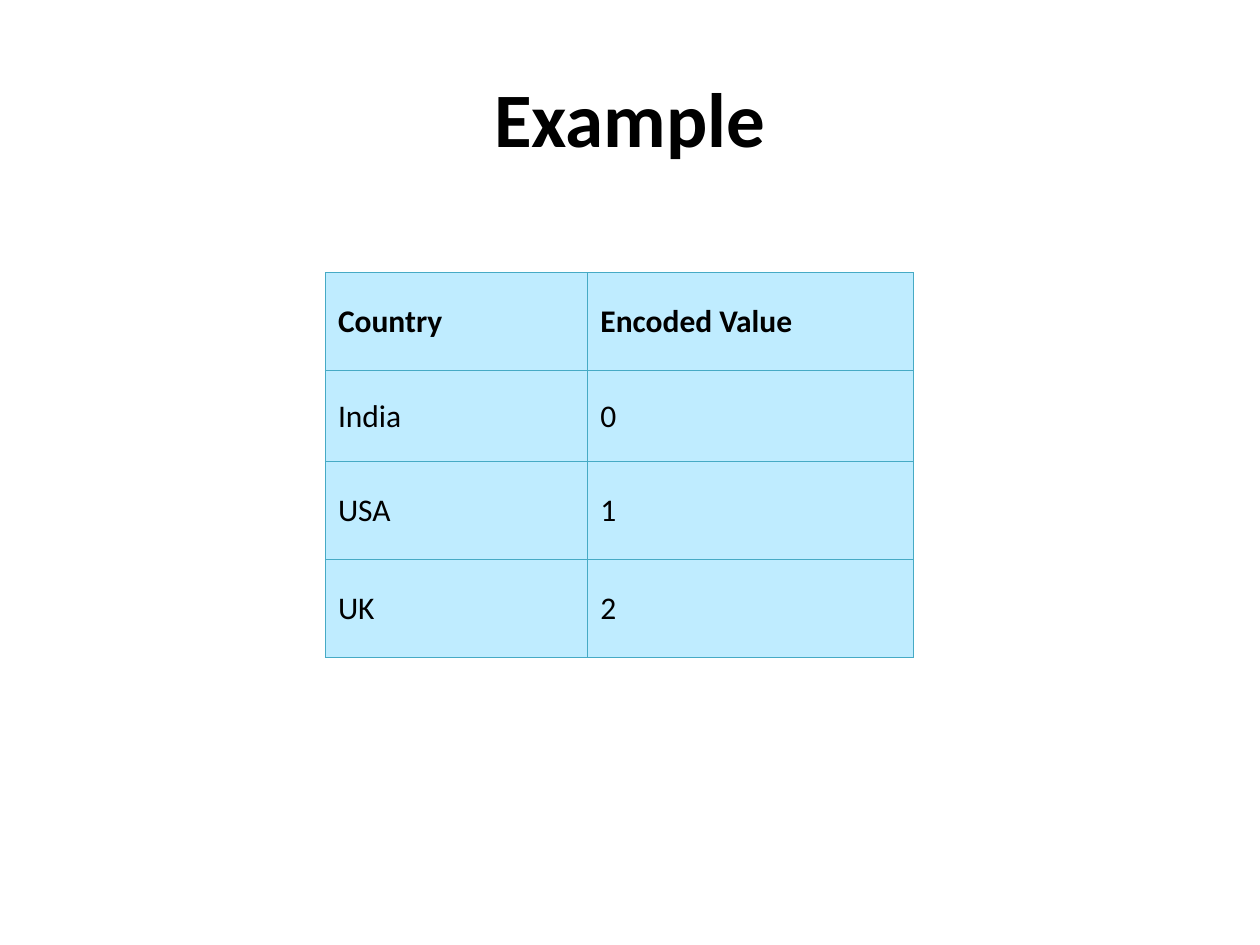
"""Build a slide with a table of countries and their encoded values."""
import lxml.etree
import pptx
import pptx.dml.color
import pptx.enum.text
import pptx.oxml.ns
import pptx.util

Cm = pptx.util.Cm
Pt = pptx.util.Pt
qn = pptx.oxml.ns.qn


def color(code):
    return pptx.dml.color.RGBColor.from_string(code)


class Deck:
    font = "Calibri"
    ink = "000000"
    fill = "BFECFF"
    edge = "46AAC5"

    def __init__(self, wide, high):
        self.show = pptx.Presentation()
        self.show.slide_width = Cm(wide)
        self.show.slide_height = Cm(high)
        self.slide = self.show.slides.add_slide(self.show.slide_layouts[6])

    def label(self, frame, text, size, bold):
        frame.text = text
        para = frame.paragraphs[0]
        para.font.name = self.font
        para.font.size = Pt(size)
        para.font.bold = bold
        para.font.color.rgb = color(self.ink)
        return para

    def title(self, text, left, top, wide, high):
        box = self.slide.shapes.add_textbox(Cm(left), Cm(top), Cm(wide), Cm(high))
        frame = box.text_frame
        frame.word_wrap = True
        frame.vertical_anchor = pptx.enum.text.MSO_ANCHOR.MIDDLE
        para = self.label(frame, text, 44, True)
        para.alignment = pptx.enum.text.PP_ALIGN.CENTER

    def border(self, cell):
        props = cell._tc.get_or_add_tcPr()
        for side in ("a:lnL", "a:lnR", "a:lnT", "a:lnB"):
            line = lxml.etree.SubElement(props, qn(side), w=str(Pt(0.75)))
            solid = lxml.etree.SubElement(line, qn("a:solidFill"))
            lxml.etree.SubElement(solid, qn("a:srgbClr"), val=self.edge)

    def table(self, data, left, top, cols, rows):
        grid = self.slide.shapes.add_table(
            len(rows), len(cols), Cm(left), Cm(top), Cm(sum(cols)), Cm(sum(rows))
        ).table
        for col, wide in zip(grid.columns, cols):
            col.width = Cm(wide)
        for row, high in zip(grid.rows, rows):
            row.height = Cm(high)
        for i, line in enumerate(data):
            for j, text in enumerate(line):
                cell = grid.cell(i, j)
                cell.vertical_anchor = pptx.enum.text.MSO_ANCHOR.MIDDLE
                self.border(cell)
                cell.fill.solid()
                cell.fill.fore_color.rgb = color(self.fill)
                self.label(cell.text_frame, text, 18, i == 0)


def main():
    deck = Deck(25.4, 19.05)
    deck.title("Example", 1.27, 0.76, 22.86, 3.18)
    data = [("Country", "Encoded Value"), ("India", "0"), ("USA", "1"), ("UK", "2")]
    deck.table(data, 6.56, 5.5, (5.29, 6.56), (1.97, 1.84, 1.97, 1.97))
    deck.show.save("out.pptx")


if __name__ == "__main__":
    main()
